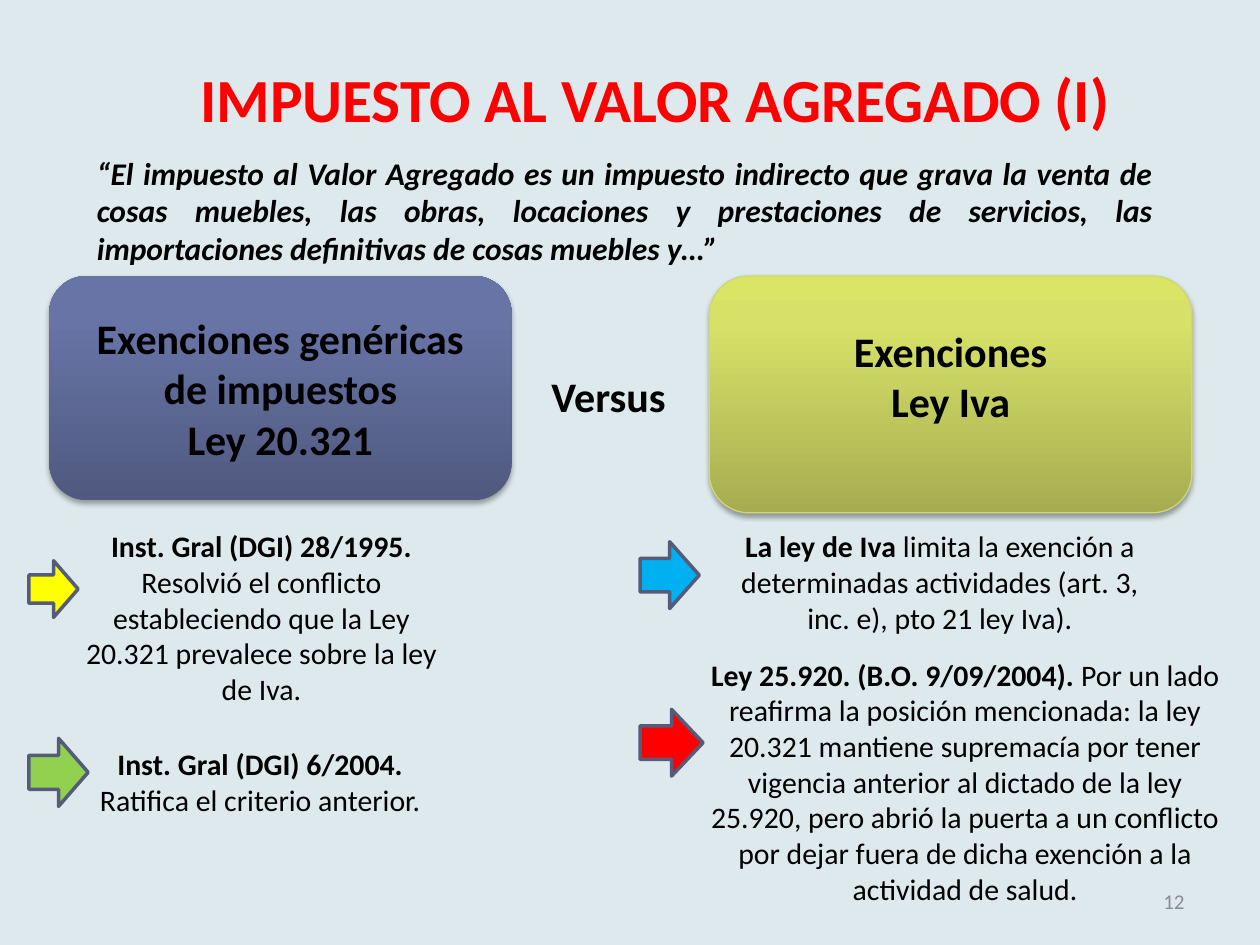
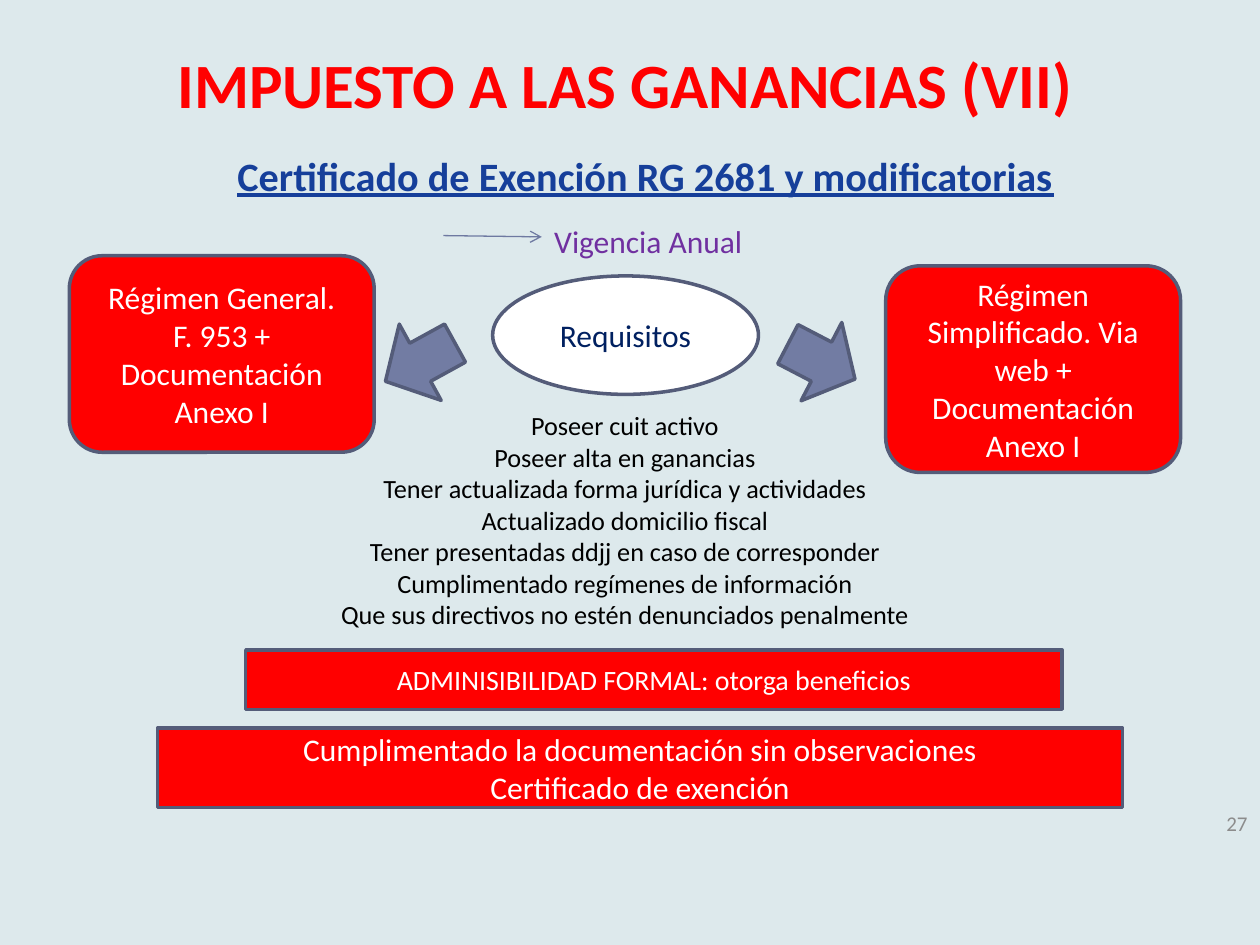
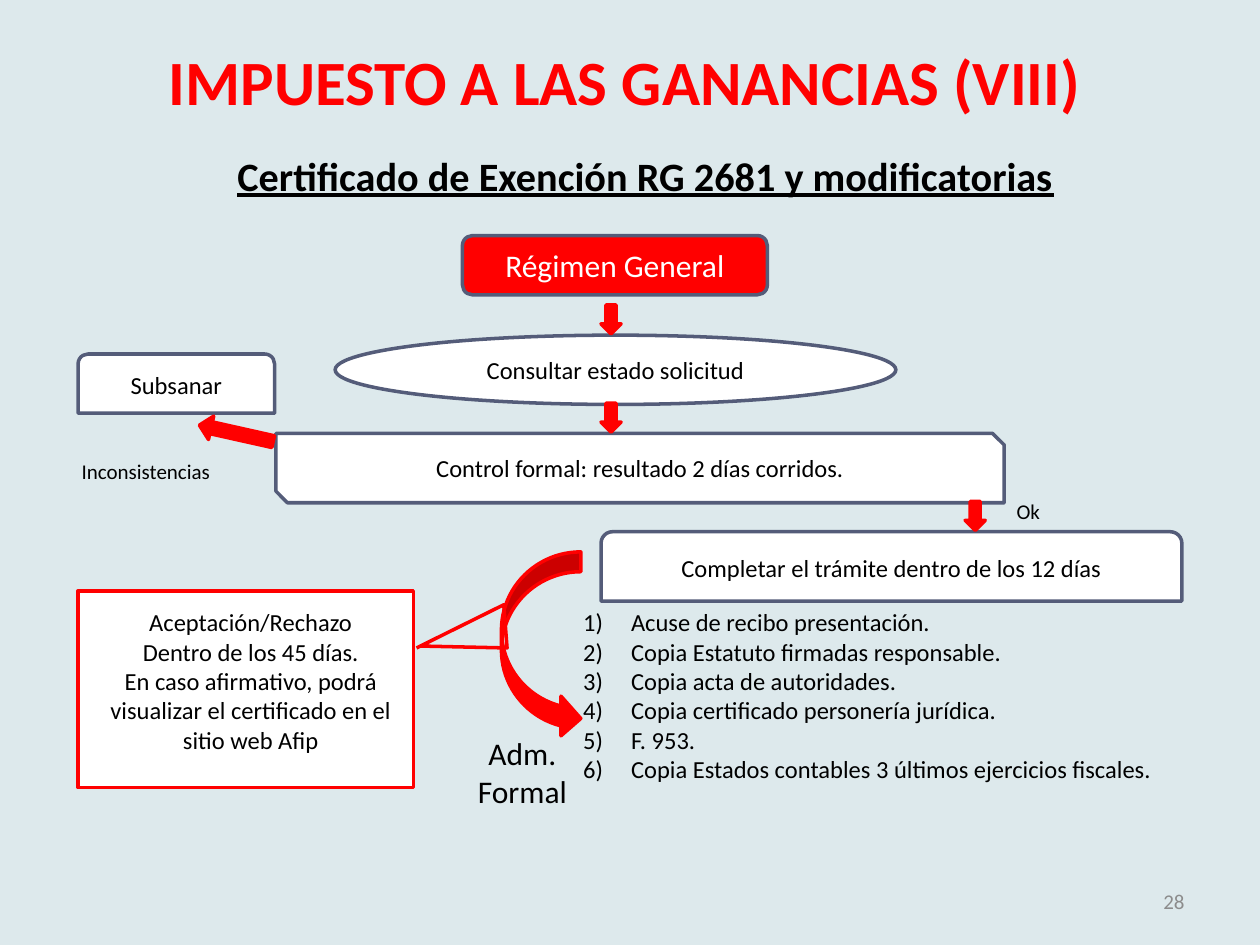
from copy import deepcopy
from dataclasses import dataclass

from lxml.etree import SubElement
from pptx import Presentation
from pptx.dml.color import RGBColor
from pptx.enum.shapes import MSO_CONNECTOR, MSO_SHAPE
from pptx.enum.text import MSO_ANCHOR, PP_ALIGN
from pptx.oxml.ns import qn
from pptx.util import Inches, Pt

COLORS = {
    "background": "DDE9EC", "red": "FF0000", "black": "000000", "white": "FFFFFF",
    "outline": "545C79", "slate": "727CA3", "connector": "6E79A1", "number": "8C8C8C",
    "blue": "163F9A", "navy": "002060", "purple": "7030A0", "yellow": "FFFF00",
    "green": "92D050", "sky": "00B0F0", "lime edge": "CFD875",
    "indigo 1": "50597F", "indigo 2": "6774A5", "indigo 3": "6774A7",
    "lime 1": "A6AD50", "lime 2": "D7E168", "lime 3": "DAE566",
}
FONT = "Calibri"
NUMBER_INDENT = Inches(0.38)
CERTIFICATE = "Certificado de Exención RG 2681 y modificatorias"


@dataclass
class Box:
    """A rectangle in inches."""
    x: float
    y: float
    w: float
    h: float

    def within(self, dx, dy, w, h):
        """Return a rectangle offset from this one."""
        return Box(self.x + dx, self.y + dy, w, h)

    def lengths(self):
        """Return left, top, width and height as lengths."""
        return [Inches(v) for v in (self.x, self.y, self.w, self.h)]


def rgb(name):
    """Look up a named colour."""
    return RGBColor.from_string(COLORS[name])


def number_paragraph(paragraph):
    """Give a paragraph an automatic number and a hanging indent."""
    properties = paragraph._p.get_or_add_pPr()
    properties.set("marL", str(NUMBER_INDENT))
    properties.set("indent", str(-NUMBER_INDENT))
    SubElement(properties, qn("a:buAutoNum"), type="arabicParenR")


def write(shape, lines, size, color="black", bold=False, italic=False, underline=False,
          align=PP_ALIGN.CENTER, anchor=MSO_ANCHOR.MIDDLE, wrap=True, numbered=False):
    """Fill a shape with paragraphs; a (lead, rest) pair has a bold lead."""
    frame = shape.text_frame
    frame.word_wrap = wrap
    frame.vertical_anchor = anchor
    for index, line in enumerate(lines):
        paragraph = frame.add_paragraph() if index else frame.paragraphs[0]
        paragraph.alignment = align
        if numbered:
            number_paragraph(paragraph)
        font = paragraph.font
        font.name, font.size, font.color.rgb = FONT, Pt(size), rgb(color)
        font.bold, font.italic, font.underline = bold, italic, underline
        if isinstance(line, tuple):
            lead, rest = line
            run = paragraph.add_run()
            run.text, run.font.bold = lead, True
            paragraph.add_run().text = rest
        else:
            paragraph.add_run().text = line


def label(slide, box, lines, size, color="black", anchor=MSO_ANCHOR.TOP, **style):
    """Add a text box."""
    write(slide.shapes.add_textbox(*box.lengths()), lines, size, color, anchor=anchor, **style)


def figure(slide, kind, box, fill, line="outline", width=2, rotation=0):
    """Add a preset shape with a solid fill and an outline."""
    shape = slide.shapes.add_shape(kind, *box.lengths())
    shape.shadow.inherit = False
    shape.rotation = rotation
    shape.fill.solid()
    shape.fill.fore_color.rgb = rgb(fill)
    if line:
        shape.line.color.rgb = rgb(line)
        shape.line.width = Pt(width)
    else:
        shape.line.fill.background()
    return shape


def step(slide, kind, box, lines, size=14, fill="white", color="black"):
    """Add an outlined shape holding centred text."""
    write(figure(slide, kind, box, fill), lines, size, color)


def start_slide(deck, title, title_box, title_size, number, number_box):
    """Add a blank slide with the shared background, title and number."""
    slide = deck.slides.add_slide(deck.slide_layouts[6])
    slide.background.fill.solid()
    slide.background.fill.fore_color.rgb = rgb("background")
    label(slide, title_box, [title], title_size, "red", bold=True)
    label(slide, number_box, [number], 12, "number", MSO_ANCHOR.MIDDLE, align=PP_ALIGN.RIGHT)
    return slide


def subtitle(slide, box, color):
    """Add the underlined certificate heading."""
    label(slide, box, [CERTIFICATE], 23, color, bold=True, underline=True)


def gradient_card(slide, box, family, lines, edge=None, lift=0):
    """Add a rounded card with a vertical gradient and a soft shadow."""
    card = figure(slide, MSO_SHAPE.ROUNDED_RECTANGLE, box, "white", edge, 0.75)
    card.fill.gradient()
    card.fill.gradient_angle = 90
    properties = card._element.spPr
    stops = properties.find(".//" + qn("a:gsLst"))
    stops.append(deepcopy(stops[-1]))
    for index, (stop, position) in enumerate(zip(card.fill.gradient_stops, (0, 0.8, 1)), 1):
        stop.position = position
        stop.color.rgb = rgb(f"{family} {index}")
    shadow = SubElement(properties.find(qn("a:effectLst")), qn("a:outerShdw"),
                        blurRad=str(Pt(3.1)), dist=str(Pt(1.8)), dir="5400000", rotWithShape="0")
    shade = SubElement(shadow, qn("a:srgbClr"), val=COLORS["black"])
    SubElement(shade, qn("a:alpha"), val="35000")
    card.text_frame.margin_bottom = Inches(0.05 + lift)
    write(card, lines, 24, bold=True)


def exemption_comparison(slide, box):
    """Set the generic exemptions against those of the VAT law."""
    gradient_card(slide, box.within(0, 0, 3.67, 1.78), "indigo",
                  ["Exenciones genéricas de impuestos", "Ley 20.321"])
    gradient_card(slide, box.within(5.24, 0, 3.83, 1.88), "lime",
                  ["Exenciones", "Ley Iva"], "lime edge", lift=0.3)
    label(slide, box.within(3.88, 0.7, 1.12, 0.5), ["Versus"], 24, bold=True, wrap=False)


def ruling(slide, box, lead, rest, arrow, color):
    """Add a ruling with a bold lead and its arrow, placed from the box corner."""
    label(slide, box, [(lead, rest)], 17)
    figure(slide, MSO_SHAPE.RIGHT_ARROW, box.within(*arrow), color)


def build_vat(deck):
    """Build the value added tax slide."""
    slide = start_slide(deck, "IMPUESTO AL VALOR AGREGADO (I)", Box(0.55, 0.44, 9.3, 0.71), 35,
                        "12", Box(7.17, 6.95, 2.33, 0.4))
    label(slide, Box(0.67, 1.17, 8.58, 1.01),
          ["“El impuesto al Valor Agregado es un impuesto indirecto que grava la venta de cosas "
           "muebles, las obras, locaciones y prestaciones de servicios, las importaciones "
           "definitivas de cosas muebles y…”"],
          18, bold=True, italic=True, align=PP_ALIGN.JUSTIFY)
    exemption_comparison(slide, Box(0.39, 2.19, 9.07, 1.88))
    rulings = [
        (Box(0.55, 4.14, 3.05, 1.53), "Inst. Gral (DGI) 28/1995. ",
         "Resolvió el conflicto estableciendo que la Ley 20.321 prevalece sobre la ley de Iva.",
         (-0.32, 0.31, 0.39, 0.45), "yellow"),
        (Box(0.62, 5.87, 2.89, 0.67), "Inst. Gral (DGI) 6/2004. ",
         "Ratifica el criterio anterior.", (-0.39, -0.01, 0.47, 0.54), "green"),
        (Box(5.78, 4.14, 3.36, 0.96), "La ley de Iva ",
         "limita la exención a determinadas actividades (art. 3, inc. e), pto 21 ley Iva).",
         (-0.7, 0.16, 0.47, 0.53), "sky"),
        (Box(5.47, 5.16, 4.38, 2.1), "Ley 25.920. (B.O. 9/09/2004). ",
         "Por un lado reafirma la posición mencionada: la ley 20.321 mantiene supremacía por "
         "tener vigencia anterior al dictado de la ley 25.920, pero abrió la puerta a un "
         "conflicto por dejar fuera de dicha exención a la actividad de salud.",
         (-0.39, 0.47, 0.5, 0.53), "red"),
    ]
    for entry in rulings:
        ruling(slide, *entry)


def validity(slide, box):
    """Add the arrow and the validity period."""
    x, y = box.x, box.y + 0.16
    pointer = slide.shapes.add_connector(
        MSO_CONNECTOR.STRAIGHT, *[Inches(v) for v in (x, y, x + 0.78, y + 0.01)])
    pointer.line.color.rgb = rgb("connector")
    pointer.line.width = Pt(0.75)
    properties = pointer._element.spPr
    SubElement(properties.find(qn("a:ln")), qn("a:tailEnd"), type="arrow")
    SubElement(properties, qn("a:effectLst"))
    label(slide, box.within(0.78, 0, 2.07, 0.4), ["Vigencia Anual"], 18, "purple",
          align=PP_ALIGN.LEFT)


def regimes(slide, box):
    """Show the requirements leading to both regimes."""
    figure(slide, MSO_SHAPE.DOWN_ARROW, box.within(2.44, 0.53, 0.69, 0.63), "slate",
           rotation=61.2)
    figure(slide, MSO_SHAPE.DOWN_ARROW, box.within(5.62, 0.54, 0.7, 0.6), "slate",
           rotation=297.5)
    step(slide, MSO_SHAPE.OVAL, box.within(3.36, 0.16, 2.11, 0.94), ["Requisitos"], 18,
         color="navy")
    step(slide, MSO_SHAPE.ROUNDED_RECTANGLE, box.within(0, 0, 2.42, 1.56),
         ["Régimen General.", "F. 953 + Documentación Anexo I"], 18, "red", "white")
    step(slide, MSO_SHAPE.ROUNDED_RECTANGLE, box.within(6.48, 0.08, 2.34, 1.64),
         ["Régimen Simplificado. Via web + Documentación Anexo I"], 18, "red", "white")


def outcomes(slide, box):
    """Add the two bands with the results of the procedure."""
    step(slide, MSO_SHAPE.RECTANGLE, box.within(0.7, 0, 6.48, 0.47),
         ["ADMINISIBILIDAD FORMAL: otorga beneficios"], 16, "red", "white")
    step(slide, MSO_SHAPE.RECTANGLE, box.within(0, 0.62, box.w, 0.63),
         ["Cumplimentado la documentación sin observaciones", "Certificado de exención"],
         18, "red", "white")


def build_requirements(deck):
    """Build the slide on the certificate requirements."""
    slide = start_slide(deck, "IMPUESTO A LAS GANANCIAS (VII)", Box(0.31, 0.31, 9.3, 0.71), 36,
                        "27", Box(7.67, 6.33, 2.33, 0.4))
    subtitle(slide, Box(0.75, 1.15, 8.75, 4.55), "blue")
    regimes(slide, Box(0.55, 2.03, 8.82, 1.72))
    label(slide, Box(0.7, 3.2, 8.52, 2.12),
          ["Poseer cuit activo", "Poseer alta en ganancias",
           "Tener actualizada forma jurídica y actividades", "Actualizado domicilio fiscal",
           "Tener presentadas ddjj en caso de corresponder",
           "Cumplimentado regímenes de información",
           "Que sus directivos no estén denunciados penalmente"], 15)
    outcomes(slide, Box(1.25, 5.16, 7.66, 1.25))
    validity(slide, Box(3.52, 1.71, 2.85, 0.4))


def red_arrow(slide, box, kind=MSO_SHAPE.DOWN_ARROW, rotation=0):
    """Add a red flow arrow."""
    figure(slide, kind, box, "red", "red", rotation=rotation)


def review_flow(slide, box):
    """Draw the steps from the request to its completion."""
    step(slide, MSO_SHAPE.ROUNDED_RECTANGLE, box.within(3.05, 0, 2.42, 0.47),
         ["Régimen General"], 18, "red", "white")
    step(slide, MSO_SHAPE.SNIP_2_DIAG_RECTANGLE, box.within(1.57, 1.57, 5.78, 0.55),
         ["Control formal: resultado 2 días corridos."])
    step(slide, MSO_SHAPE.OVAL, box.within(2.04, 0.79, 4.45, 0.55),
         ["Consultar estado solicitud"])
    step(slide, MSO_SHAPE.ROUND_2_SAME_RECTANGLE, box.within(0, 0.94, 1.56, 0.47), ["Subsanar"])
    step(slide, MSO_SHAPE.ROUND_2_SAME_RECTANGLE, box.within(4.15, 2.35, 4.61, 0.55),
         ["Completar el trámite dentro de los 12 días"])
    for dx, dy in ((4.15, 0.55), (4.15, 1.33), (7.04, 2.11)):
        red_arrow(slide, box.within(dx, dy, 0.16, 0.23))
    red_arrow(slide, box.within(1.16, 1.27, 0.19, 0.6), rotation=102.6)
    label(slide, box.within(-0.07, 1.72, 1.56, 0.3), ["Inconsistencias"], 12,
          align=PP_ALIGN.LEFT)
    label(slide, box.within(7.35, 2.04, 0.44, 0.3), ["Ok"], 12, align=PP_ALIGN.LEFT)


def resolution(slide, box):
    """Add the curved arrow to formal admission and the callout with the decision."""
    red_arrow(slide, box.within(3.36, 0, 0.63, 1.48), MSO_SHAPE.CURVED_RIGHT_ARROW)
    callout = figure(slide, MSO_SHAPE.LINE_CALLOUT_3, box.within(0, 0.31, 2.66, 1.56), "white",
                     "red", rotation=180)
    leader = (0.724, -0.02, 0.713, -0.277, 0.934, -0.265, 0.714, -0.014)
    for index, value in enumerate(leader):
        callout.adjustments[index] = round(value, 2)
    label(slide, box.within(0.08, 0.39, 2.58, 1.51),
          ["Aceptación/Rechazo", "Dentro de los 45 días.",
           "En caso afirmativo, podrá visualizar el certificado en el sitio web Afip"], 14)
    label(slide, box.within(2.9, 1.4, 1.25, 0.71), ["Adm. Formal"], 18)


def build_procedure(deck):
    """Build the slide on the general regime procedure."""
    slide = start_slide(deck, "IMPUESTO A LAS GANANCIAS (VIII)", Box(0.31, 0.29, 9.3, 0.71), 36,
                        "28", Box(7.17, 6.95, 2.33, 0.4))
    subtitle(slide, Box(0.75, 1.15, 8.75, 4.55), "black")
    review_flow(slide, Box(0.62, 1.87, 8.76, 2.9))
    label(slide, Box(4.53, 4.77, 4.92, 2.22),
          ["Acuse de recibo presentación.", "Copia Estatuto firmadas responsable.",
           "Copia acta de autoridades.", "Copia certificado personería jurídica.", "F. 953.",
           "Copia Estados contables 3 últimos ejercicios fiscales."],
          14, align=PP_ALIGN.LEFT, numbered=True)
    resolution(slide, Box(0.62, 4.38, 4.15, 2.11))


def main():
    """Build and save the presentation."""
    deck = Presentation()
    deck.slide_width, deck.slide_height = Inches(10), Inches(7.5)
    build_vat(deck)
    build_requirements(deck)
    build_procedure(deck)
    deck.save("out.pptx")


if __name__ == "__main__":
    main()
